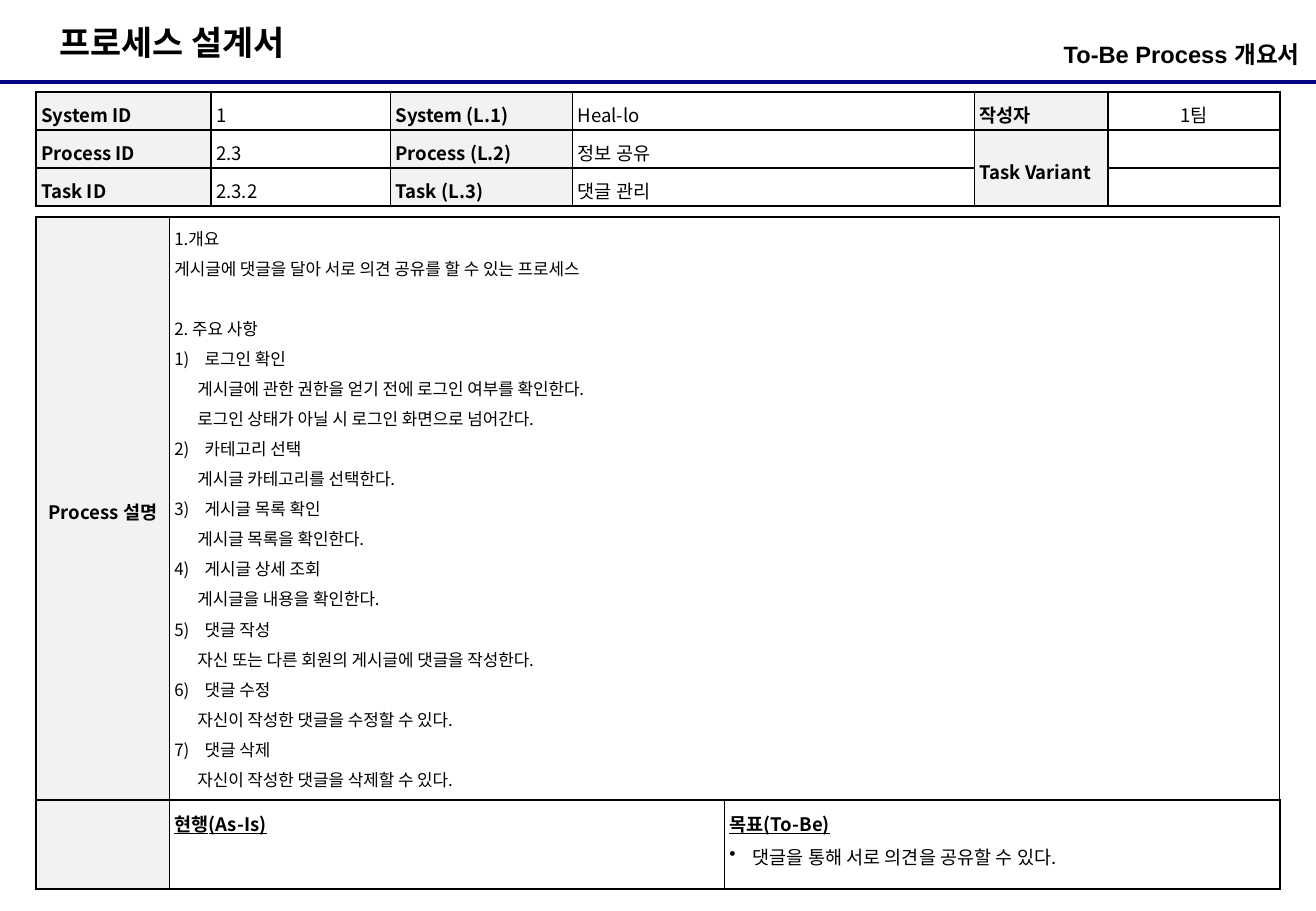
import pptx
import pptx.dml.color
import pptx.enum.shapes
import pptx.enum.text
import pptx.oxml.ns
import pptx.util
from lxml import etree

Pt = pptx.util.Pt
qn = pptx.oxml.ns.qn
ALIGN = pptx.enum.text.PP_ALIGN
ANCHOR = pptx.enum.text.MSO_ANCHOR

BLACK = pptx.dml.color.RGBColor(0x00, 0x00, 0x00)
WHITE = pptx.dml.color.RGBColor(0xFF, 0xFF, 0xFF)
NAVY = pptx.dml.color.RGBColor(0x00, 0x00, 0x80)
LABEL_GREY = pptx.dml.color.RGBColor(0xF2, 0xF2, 0xF2)

KOREAN_FONT = "Noto Sans CJK KR"
SLIDE_WIDTH, SLIDE_HEIGHT = 780, 540
TABLE_LEFT = 21.5
OUTER_BORDER, INNER_BORDER = 1.5, 1
NUMBER_INDENT, DETAIL_INDENT, BULLET_INDENT = 18, 13.6, 13.7

CELL_FORMAT = {"margin_left": Pt(2.9), "margin_right": Pt(2.9),
               "margin_top": Pt(3.9), "margin_bottom": Pt(1.9)}

ID_ROWS = [
    ["System ID", "1", "System (L.1)", "Heal-lo", "작성자", "1팀"],
    ["Process ID", "2.3", "Process (L.2)", "정보 공유", "Task Variant", ""],
    ["Task ID", "2.3.2", "Task (L.3)", "댓글 관리", "", ""],
]
OVERVIEW = ["1.개요", "게시글에 댓글을 달아 서로 의견 공유를 할 수 있는 프로세스"]
STEPS_HEADING = "2. 주요 사항"
STEPS = [
    ("로그인 확인", ["게시글에 관한 권한을 얻기 전에 로그인 여부를 확인한다.",
                "로그인 상태가 아닐 시 로그인 화면으로 넘어간다."]),
    ("카테고리 선택", ["게시글 카테고리를 선택한다."]),
    ("게시글 목록 확인", ["게시글 목록을 확인한다."]),
    ("게시글 상세 조회", ["게시글을 내용을 확인한다."]),
    ("댓글 작성", ["자신 또는 다른 회원의 게시글에 댓글을 작성한다."]),
    ("댓글 수정", ["자신이 작성한 댓글을 수정할 수 있다."]),
    ("댓글 삭제", ["자신이 작성한 댓글을 삭제할 수 있다."]),
]


def apply_format(target, values):
    for name, value in values.items():
        setattr(target, name, value)


def write_run(paragraph, text, size, font=KOREAN_FONT, **style):
    run = paragraph.add_run()
    run.text = text
    apply_format(run.font, {"name": font, "size": Pt(size), **style})
    run.font.color.rgb = BLACK
    east_asian = etree.SubElement(run.font._element, qn("a:ea"))
    east_asian.set("typeface", KOREAN_FONT)


def set_indent(paragraph, left, hanging=0, marker=None, **marker_values):
    properties = paragraph._p.get_or_add_pPr()
    properties.set("marL", str(int(Pt(left))))
    properties.set("indent", str(-int(Pt(hanging))))
    if marker:
        element = etree.SubElement(properties, qn(marker))
        for name, value in marker_values.items():
            element.set(name, value)


def write_cell_line(cell, text, size=11, align=ALIGN.LEFT, gap=0, **style):
    """Add one line to a cell; the first line takes the existing paragraph."""
    frame = cell.text_frame
    first = not frame.text
    paragraph = frame.paragraphs[0] if first else frame.add_paragraph()
    apply_format(paragraph, {"alignment": align, "line_spacing": 1.1,
                             "space_before": Pt(0 if first else size / 10 + gap),
                             "space_after": Pt(size / 10)})
    if text:
        write_run(paragraph, text, size, **style)
    else:
        end = etree.SubElement(paragraph._p, qn("a:endParaRPr"))
        end.set("sz", str(size * 100))
    return paragraph


def set_borders(cell, widths):
    properties = cell._tc.get_or_add_tcPr()
    for side, width in widths.items():
        line = etree.SubElement(properties, qn(f"a:ln{side}"), w=str(int(Pt(width))))
        fill = etree.SubElement(line, qn("a:solidFill"))
        etree.SubElement(fill, qn("a:srgbClr"), val=str(BLACK))


def add_grid(slide, top, widths, heights, label_columns):
    """Add a table with a heavier outer border and grey label columns."""
    grid = slide.shapes.add_table(len(heights), len(widths), Pt(TABLE_LEFT), Pt(top),
                                  Pt(sum(widths)), Pt(sum(heights))).table
    apply_format(grid, {"first_row": False, "horz_banding": False})
    for column, width in zip(grid.columns, widths):
        column.width = Pt(width)
    last_row, last_column = len(heights) - 1, len(widths) - 1
    for r, height in enumerate(heights):
        grid.rows[r].height = Pt(height)
        for c in range(len(widths)):
            cell = grid.cell(r, c)
            apply_format(cell, CELL_FORMAT)
            on_edge = {"L": c == 0, "R": c == last_column, "T": r == 0, "B": r == last_row}
            set_borders(cell, {side: OUTER_BORDER if edge else INNER_BORDER
                               for side, edge in on_edge.items()})
            cell.fill.solid()
            cell.fill.fore_color.rgb = LABEL_GREY if c in label_columns else WHITE
    return grid


def add_heading(slide, box, text, size, align, frame_format, font=KOREAN_FONT):
    frame = slide.shapes.add_textbox(*map(Pt, box)).text_frame
    apply_format(frame, frame_format)
    frame.paragraphs[0].alignment = align
    write_run(frame.paragraphs[0], text, size, font, bold=True)


def add_header_rule(slide):
    rule = slide.shapes.add_connector(pptx.enum.shapes.MSO_CONNECTOR.STRAIGHT,
                                      Pt(0), Pt(48.4), Pt(SLIDE_WIDTH), Pt(48.4))
    rule.line.color.rgb = NAVY
    rule.line.width = Pt(2.25)
    etree.SubElement(rule._element.spPr, qn("a:effectLst"))


def add_id_table(slide):
    label_columns = (0, 2, 4)
    grid = add_grid(slide, 54.6, [103.7, 106.3, 108, 238, 79.3, 102],
                    [22.5] * 3, label_columns)
    grid.cell(1, 4).merge(grid.cell(2, 4))
    for r, row in enumerate(ID_ROWS):
        for c, text in enumerate(row):
            cell = grid.cell(r, c)
            if c >= 4:
                cell.vertical_anchor = ANCHOR.MIDDLE
            write_cell_line(cell, text, align=ALIGN.CENTER if c == 5 else ALIGN.LEFT,
                            bold=c in label_columns)


def add_description_table(slide):
    grid = add_grid(slide, 128.7, [79, 329, 329], [345.6, 52.8], (0,))
    label, description = grid.cell(0, 0), grid.cell(0, 1)
    description.merge(grid.cell(0, 2))
    label.vertical_anchor = ANCHOR.MIDDLE
    write_cell_line(label, "Process 설명", align=ALIGN.CENTER, bold=True)
    write_cell_line(grid.cell(1, 0), "")

    # Overview and numbered steps
    for text in OVERVIEW:
        write_cell_line(description, text, 10)
    write_cell_line(description, STEPS_HEADING, 10, gap=17.9)
    for number, (step, details) in enumerate(STEPS, 1):
        set_indent(write_cell_line(description, step, 10), NUMBER_INDENT, NUMBER_INDENT,
                   "a:buAutoNum", type="arabicParenR", startAt=str(number))
        for detail in details:
            set_indent(write_cell_line(description, detail, 10), DETAIL_INDENT)

    # Current state and goal
    as_is, to_be = grid.cell(1, 1), grid.cell(1, 2)
    for cell, text in ((as_is, "현행(As-Is)"), (to_be, "목표(To-Be)")):
        write_cell_line(cell, text, bold=True, underline=True)
    goal = write_cell_line(to_be, "댓글을 통해 서로 의견을 공유할 수 있다.")
    set_indent(goal, BULLET_INDENT, BULLET_INDENT, "a:buChar", char="•")


def main():
    deck = pptx.Presentation()
    apply_format(deck, {"slide_width": Pt(SLIDE_WIDTH), "slide_height": Pt(SLIDE_HEIGHT)})
    slide = deck.slides.add_slide(deck.slide_layouts[6])

    # Header
    add_header_rule(slide)
    add_heading(slide, (28.1, 9.4, 162, 31.7), "프로세스 설계서", 20, ALIGN.LEFT,
                {"word_wrap": False})
    add_heading(slide, (532, 20.2, 238.3, 28), "To-Be Process 개요서", 14, ALIGN.RIGHT,
                {"word_wrap": True, "margin_left": 0, "margin_right": 0}, "Arial")

    # Tables
    add_id_table(slide)
    add_description_table(slide)
    deck.save("out.pptx")


if __name__ == "__main__":
    main()
